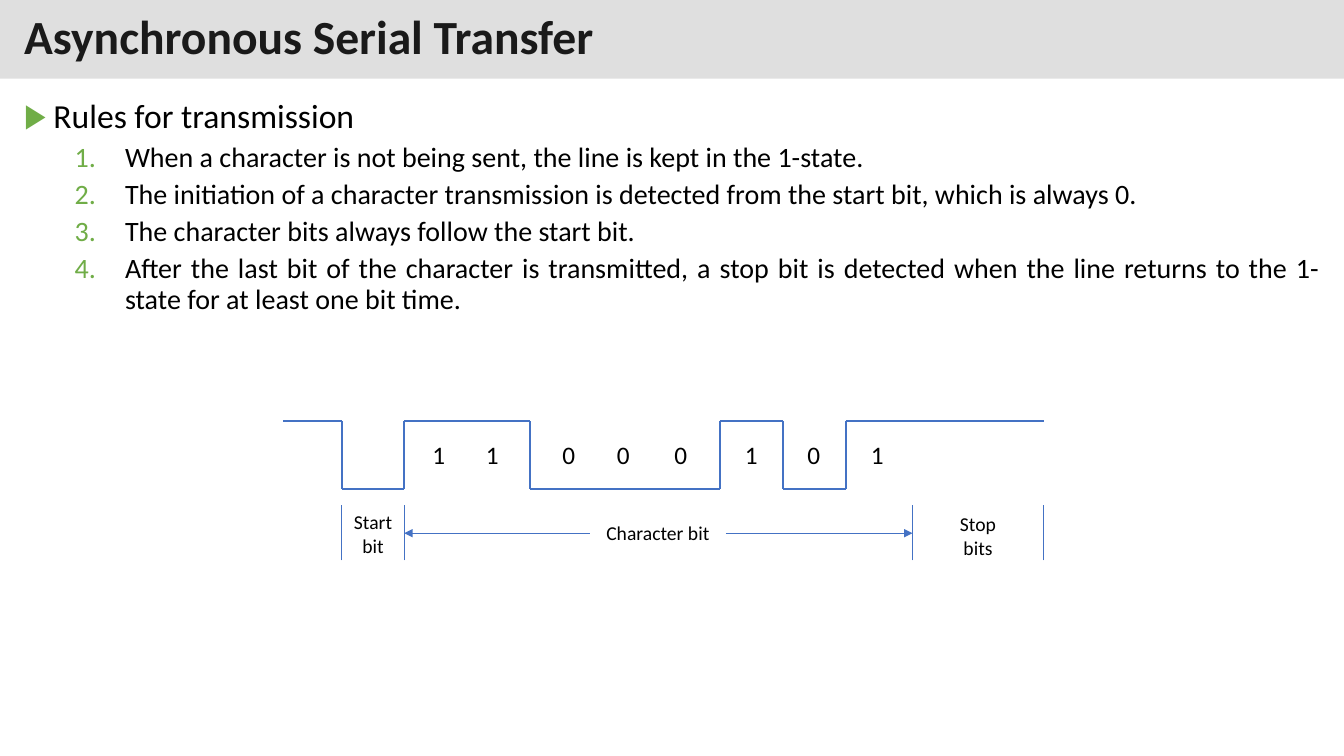
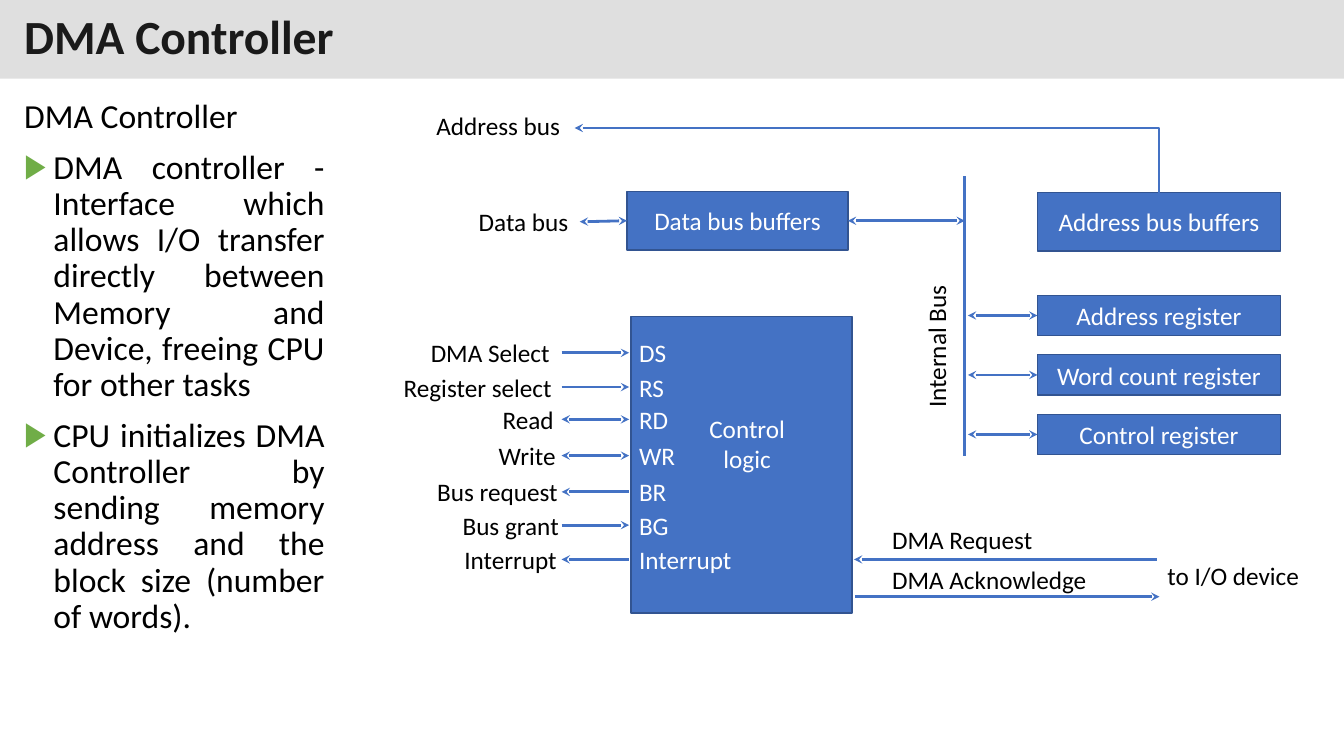
from dataclasses import dataclass
from typing import Optional

from lxml.etree import SubElement
from pptx import Presentation
from pptx.dml.color import RGBColor
from pptx.enum.shapes import MSO_CONNECTOR, MSO_SHAPE
from pptx.enum.text import MSO_ANCHOR, MSO_AUTO_SIZE, PP_ALIGN
from pptx.oxml.ns import qn
from pptx.util import Inches, Pt

FONT = "Calibri"
BLACK = RGBColor(0x00, 0x00, 0x00)
WHITE = RGBColor(0xFF, 0xFF, 0xFF)
TITLE_INK = RGBColor(0x1A, 0x1A, 0x1A)
BAND_GREY = RGBColor(0xC0, 0xC0, 0xC0)
BULLET_GREEN = RGBColor(0x70, 0xAD, 0x47)
BLUE = RGBColor(0x44, 0x72, 0xC4)
DARK_BLUE = RGBColor(0x32, 0x54, 0x91)
STEALTH = "stealth"


@dataclass
class Item:
    """A body paragraph; bullet is a character, "1" for numbering or empty."""
    text: str
    size: int = 24
    bullet: str = "▶"
    level: int = 0
    margin: float = 0.29
    hanging: float = 0.29
    before: int = 10


@dataclass
class Signal:
    """A control logic pin with its outside label, ending at right."""
    label: str
    right: float
    pin: str
    y: float
    head: str = ""
    tail: str = ""


@dataclass
class Label:
    text: str
    box: tuple[float, float, float, float]
    rotation: int = 0


def write(p, text: str, *, size: float = 18, color: RGBColor = BLACK,
          bold: bool = False, align: Optional[PP_ALIGN] = None) -> None:
    p.alignment = align
    r = p.add_run()
    r.text = text
    r.font.name = FONT
    r.font.size = Pt(size)
    r.font.bold = bold
    r.font.color.rgb = color


def place(sp, box: tuple[float, float, float, float]) -> None:
    sp.left, sp.top, sp.width, sp.height = map(Inches, box)


def set_bullet(p, item: Item) -> None:
    pPr = p._p.get_or_add_pPr()
    pPr.set("marL", str(Inches(item.margin)))
    pPr.set("indent", str(-Inches(item.hanging)))
    if not item.bullet:
        SubElement(pPr, qn("a:buNone"))
        return
    clr = SubElement(pPr, qn("a:buClr"))
    SubElement(clr, qn("a:srgbClr"), val=str(BULLET_GREEN))
    if item.bullet == "1":
        SubElement(pPr, qn("a:buAutoNum"), type="arabicPeriod")
    else:
        SubElement(pPr, qn("a:buChar"), char=item.bullet)


def add_slide(prs, title: str, body_box: tuple[float, float, float, float],
              items: list[Item]):
    s = prs.slides.add_slide(prs.slide_layouts[1])
    sp = s.shapes.title
    place(sp, (0, 0, 13.33, 0.78))
    sp.fill.solid()
    sp.fill.fore_color.rgb = BAND_GREY
    SubElement(sp._element.spPr.find(".//" + qn("a:srgbClr")),
               qn("a:alpha"), val="50000")
    tf = sp.text_frame
    tf.auto_size = MSO_AUTO_SIZE.NONE
    tf.vertical_anchor = MSO_ANCHOR.MIDDLE
    tf.margin_left = tf.margin_right = Inches(0.24)
    tf.margin_top = tf.margin_bottom = Inches(0.12)
    p = tf.paragraphs[0]
    p.line_spacing = 0.9
    write(p, title, size=34, color=TITLE_INK, bold=True, align=PP_ALIGN.LEFT)

    body = s.placeholders[1]
    place(body, body_box)
    tf = body.text_frame
    tf.auto_size = MSO_AUTO_SIZE.NONE
    for i, item in enumerate(items):
        p = tf.add_paragraph() if i else tf.paragraphs[0]
        p.level = item.level
        p.line_spacing = 0.9
        p.space_before = Pt(item.before if i else 0)
        set_bullet(p, item)
        write(p, item.text, size=item.size, align=PP_ALIGN.JUSTIFY)
    return s


def add_label(s, text: str, box: tuple[float, float, float, float], *,
              wrap: bool = True, **fmt):
    """Text box with one paragraph for each line of text."""
    sp = s.shapes.add_textbox(*map(Inches, box))
    tf = sp.text_frame
    tf.word_wrap = wrap
    tf.auto_size = MSO_AUTO_SIZE.SHAPE_TO_FIT_TEXT
    for i, row in enumerate(text.split("\n")):
        write(tf.add_paragraph() if i else tf.paragraphs[0], row, **fmt)
    return sp


def add_block(s, text: str, box: tuple[float, float, float, float]):
    sp = s.shapes.add_shape(MSO_SHAPE.RECTANGLE, *map(Inches, box))
    sp.shadow.inherit = False
    sp.fill.solid()
    sp.fill.fore_color.rgb = BLUE
    sp.line.color.rgb = DARK_BLUE
    sp.line.width = Pt(1)
    if text:
        sp.text_frame.word_wrap = True
        sp.text_frame.vertical_anchor = MSO_ANCHOR.MIDDLE
        write(sp.text_frame.paragraphs[0], text, color=WHITE,
              align=PP_ALIGN.CENTER)
    return sp


def add_line(s, x1: float, y1: float, x2: float, y2: float, *,
             width: float = 2, head: str = "", tail: str = "",
             begin: Optional[tuple] = None, end: Optional[tuple] = None,
             kind: MSO_CONNECTOR = MSO_CONNECTOR.STRAIGHT):
    """Connector; begin and end are (shape, side) pairs to join."""
    c = s.shapes.add_connector(kind, *map(Inches, (x1, y1, x2, y2)))
    c.line.color.rgb = BLUE
    c.line.width = Pt(width)
    ln = c.line._get_or_add_ln()
    for tag, arrow in (("a:headEnd", head), ("a:tailEnd", tail)):
        if arrow:
            SubElement(ln, qn(tag), type=arrow)
    SubElement(c._element.spPr, qn("a:effectLst"))
    if begin:
        c.begin_connect(*begin)
    if end:
        c.end_connect(*end)
    return c


def build_serial_transfer(prs) -> None:
    rules = [
        "When a character is not being sent, the line is kept in the 1-state.",
        "The initiation of a character transmission is detected from the "
        "start bit, which is always 0.",
        "The character bits always follow the start bit.",
        "After the last bit of the character is transmitted, a stop bit is "
        "detected when the line returns to the 1-state for at least one bit "
        "time.",
    ]
    s = add_slide(
        prs, "Asynchronous Serial Transfer", (0.14, 0.94, 13.05, 2.6),
        [Item("Rules for transmission")]
        + [Item(rule, 20, "1", 1, 1, 0.5, 5) for rule in rules])

    high, low = 4.18, 4.85
    edges = [2.81, 3.39, 4.01, 5.26, 7.14, 7.77, 8.39, 10.35]
    for i, (x1, x2) in enumerate(zip(edges, edges[1:])):
        y = low if i % 2 else high
        add_line(s, x1, y, x2, y, width=1.5)
        if i:
            add_line(s, x1, low, x1, high, width=1.5)

    digit_lefts = [4.19, 4.72, 5.48, 6.02, 6.59, 7.29, 7.91, 8.54]
    for digit, x in zip("11000101", digit_lefts):
        add_label(s, digit, (x, 4.31, 0.33, 0.4))

    for x in (3.38, 4.01, 9.05, 10.35):
        add_line(s, x, 5.56, x, 5.01, width=0.25)
    caption = dict(size=14, align=PP_ALIGN.CENTER)
    add_label(s, "Start\nbit", (3.39, 5.01, 0.62, 0.57), **caption)
    add_label(s, "Stop\nbits", (9.39, 5.03, 0.62, 0.57), **caption)
    span = add_label(s, "Character bit", (5.85, 5.12, 1.35, 0.34), **caption)
    for x1, x2, side in ((5.85, 4.01, 1), (7.2, 9.05, 3)):
        add_line(s, x1, 5.29, x2, 5.29, width=0.5, tail="triangle",
                 begin=(span, side))


def build_dma_controller(prs) -> None:
    s = add_slide(prs, "DMA Controller", (0.14, 0.94, 3.18, 6.11), [
        Item("DMA Controller", bullet="", margin=0, hanging=0),
        Item("DMA controller - Interface which allows I/O transfer directly "
             "between Memory and Device, freeing CPU for other tasks"),
        Item("CPU initializes DMA Controller by sending memory address and "
             "the block size (number of words)."),
    ])

    add_block(s, "", (6.26, 3.14, 2.19, 2.94))
    add_label(s, "Control logic", (6.9, 4.05, 1.02, 0.71), color=WHITE,
              align=PP_ALIGN.CENTER)
    signals = [
        Signal("DMA Select", 5.55, "DS", 3.5, tail=STEALTH),
        Signal("Register select", 5.57, "RS", 3.84, tail=STEALTH),
        Signal("Read", 5.59, "RD", 4.16, STEALTH, STEALTH),
        Signal("Write", 5.61, "WR", 4.52, STEALTH, STEALTH),
        Signal("Bus request", 5.63, "BR", 4.88, head=STEALTH),
        Signal("Bus grant", 5.64, "BG", 5.21, tail=STEALTH),
        Signal("Interrupt", 5.62, "Interrupt", 5.55, head=STEALTH),
    ]
    for sig in signals:
        top = sig.y - 0.2
        add_label(s, sig.label, (sig.right - 1.8, top, 1.8, 0.4),
                  align=PP_ALIGN.RIGHT)
        add_label(s, sig.pin, (6.24, top, 1.13, 0.4), color=WHITE)
        add_line(s, 5.57, sig.y, 6.24, sig.y, head=sig.head, tail=sig.tail)

    labels = [
        Label("Address bus", (4.23, 1.05, 1.44, 0.4)),
        Label("Internal Bus", (8.57, 3.23, 1.43, 0.4), 270),
        Label("DMA Request", (8.75, 5.15, 1.61, 0.4)),
        Label("DMA Acknowledge", (8.75, 5.55, 2.15, 0.4)),
        Label("to I/O device", (11.48, 5.51, 1.52, 0.4)),
    ]
    for lb in labels:
        add_label(s, lb.text, lb.box, wrap=False).rotation = lb.rotation

    both = dict(head=STEALTH, tail=STEALTH)
    bus_x = 9.57
    add_line(s, bus_x, 1.75, bus_x, 4.52)
    data_bus = add_label(s, "Data bus", (4.65, 2, 1.1, 0.4), wrap=False)
    data_buffers = add_block(s, "Data bus buffers", (6.22, 1.9, 2.19, 0.58))
    add_line(s, 5.75, 2.2, 6.22, 2.19, begin=(data_bus, 3),
             end=(data_buffers, 1), **both)
    add_line(s, 8.41, 2.19, bus_x, 2.19, begin=(data_buffers, 3), **both)

    address_buffers = add_block(s, "Address bus buffers",
                                (10.29, 1.91, 2.41, 0.58))
    elbow = add_line(s, 5.7, 1.27, 11.5, 1.91, head=STEALTH,
                     end=(address_buffers, 0), kind=MSO_CONNECTOR.ELBOW)
    elbow._element.spPr.find(qn("a:prstGeom")).set("prst", "bentConnector2")

    registers = ["Address register", "Word count register", "Control register"]
    for i, name in enumerate(registers):
        top = 2.93 + 0.59 * i
        register = add_block(s, name, (10.29, top, 2.41, 0.4))
        add_line(s, 9.6, top + 0.2, 10.29, top + 0.2, end=(register, 1), **both)

    add_line(s, 8.47, 5.55, 11.48, 5.55, head=STEALTH)
    add_line(s, 8.48, 5.92, 11.5, 5.92, tail=STEALTH)


def main() -> None:
    prs = Presentation()
    prs.slide_width, prs.slide_height = Inches(13.33), Inches(7.5)
    build_serial_transfer(prs)
    build_dma_controller(prs)
    prs.save("out.pptx")


if __name__ == "__main__":
    main()
